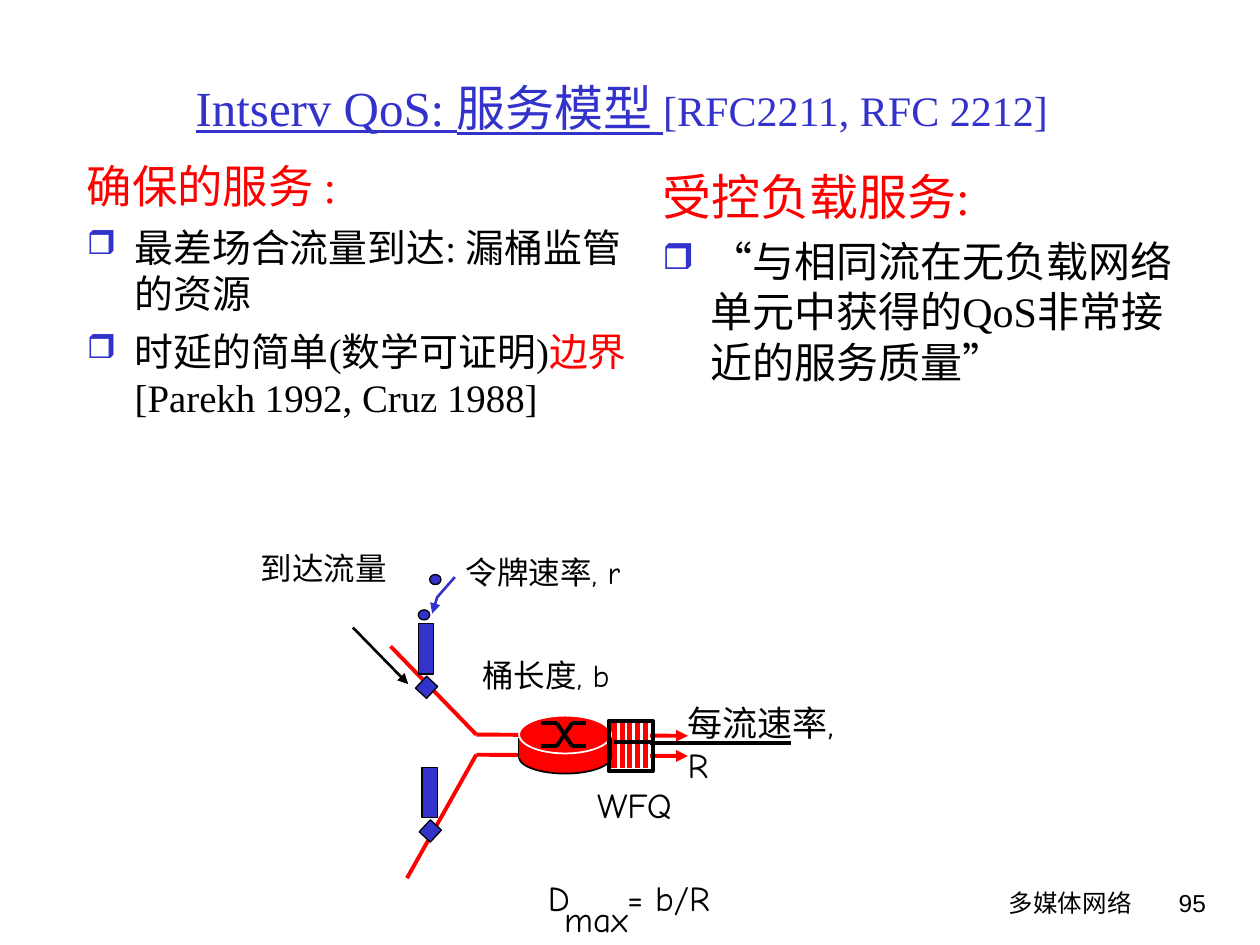
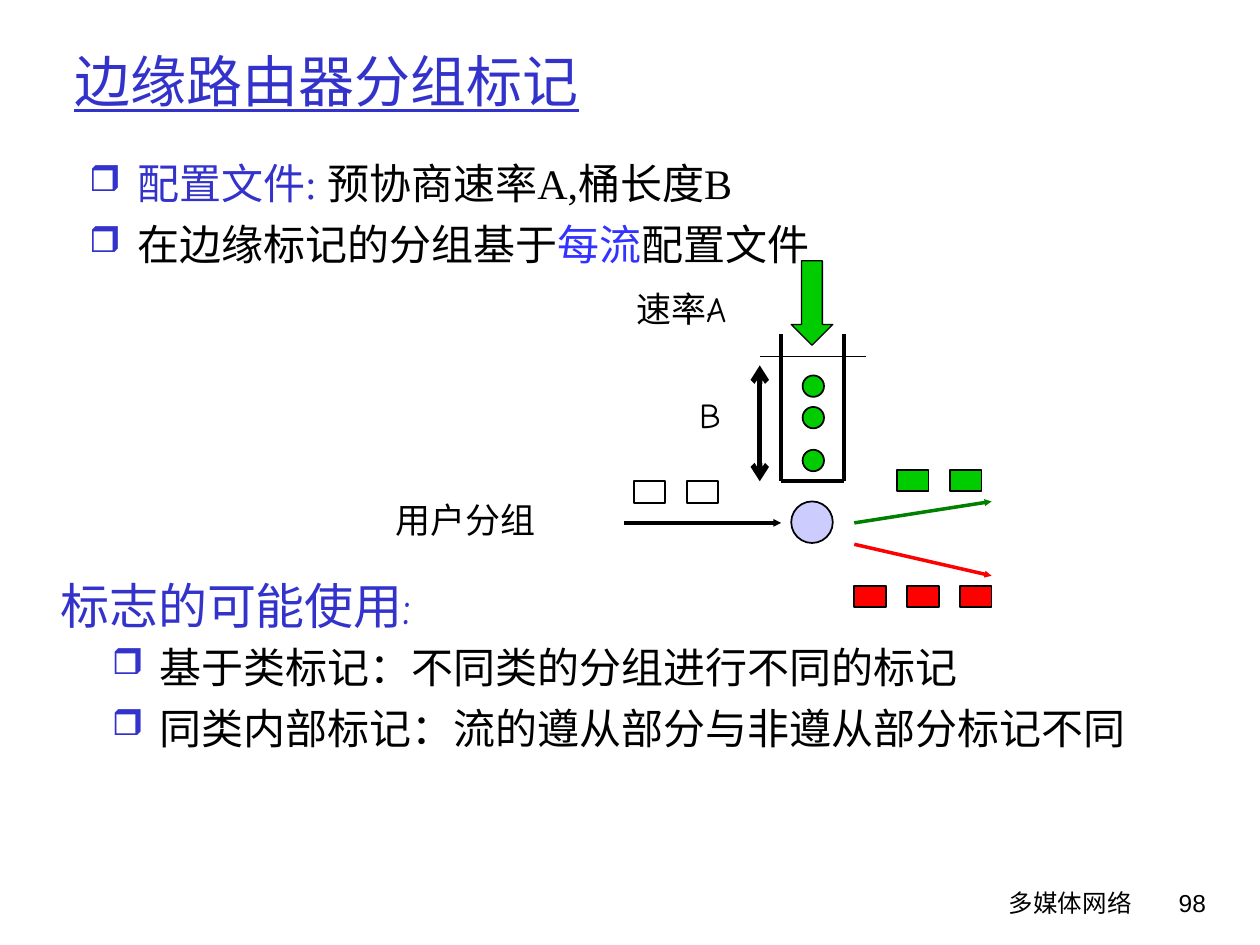
from lxml.etree import SubElement
from pptx import Presentation
from pptx.dml.color import RGBColor
from pptx.enum.shapes import MSO_CONNECTOR, MSO_SHAPE
from pptx.enum.text import MSO_ANCHOR, MSO_AUTO_SIZE, PP_ALIGN
from pptx.oxml.ns import qn
from pptx.util import Inches, Pt

WIDTH, HEIGHT = Inches(10), Inches(7.5)
COLUMNS, ROWS = 100, 75
BLACK, WHITE, RED, GREEN = "000000", "FFFFFF", "FF0000", "00CC00"
BLUE, BRIGHT_BLUE, DARK_GREEN, LILAC = "3333CC", "3333FF", "008000", "CCCCFF"
SERIF, HAND, SANS = "Times New Roman", "Comic Neue", "Arial"


def rgb(code):
    """Turn a hex string into a colour."""
    return RGBColor.from_string(code)


def column(number):
    """Return the horizontal length of a number of columns."""
    return round(WIDTH * number / COLUMNS)


def row(number):
    """Return the vertical length of a number of rows."""
    return round(HEIGHT * number / ROWS)


def area(left, top, width, height):
    """Return a grid rectangle as slide lengths."""
    return column(left), row(top), column(width), row(height)


class SlidePainter:
    """Holds the shared style and the slide being drawn."""

    def __init__(self, presentation, number):
        """Add a title-only slide with its footer and page number."""
        self.slide = presentation.slides.add_slide(presentation.slide_layouts[5])
        self.shapes = self.slide.shapes
        for box, words, font in (((48.6, 70, 42.2, 5), "多媒体网络", HAND),
                                 ((89.3, 70, 7.4, 5), str(number), SANS)):
            self.text(box, [[(words, {})]], size=14, font=font, align=PP_ALIGN.RIGHT)

    def add_runs(self, paragraph, runs, size, font):
        """Add formatted runs to a paragraph."""
        for words, changes in runs:
            run = paragraph.add_run()
            run.text = words
            values = {"size": size, "name": font, "color": BLACK, **changes}
            run.font.color.rgb = rgb(values.pop("color"))
            values["size"] = Pt(values["size"])
            for name, value in values.items():
                setattr(run.font, name, value)

    def title(self, box, runs, size, align):
        """Place and format the title."""
        shape = self.shapes.title
        shape.left, shape.top, shape.width, shape.height = area(*box)
        frame = shape.text_frame
        frame.auto_size = MSO_AUTO_SIZE.NONE
        frame.vertical_anchor = MSO_ANCHOR.MIDDLE
        frame.paragraphs[0].alignment = align
        self.add_runs(frame.paragraphs[0], runs, size, SERIF)

    def text(self, box, paragraphs, size, font=SERIF, align=PP_ALIGN.LEFT,
             wrap=True, bullets_from=None):
        """Add a text box, bulleted from the given paragraph on."""
        frame = self.shapes.add_textbox(*area(*box)).text_frame
        frame.word_wrap = wrap
        for index, runs in enumerate(paragraphs):
            paragraph = frame.add_paragraph() if index else frame.paragraphs[0]
            if bullets_from is not None and index >= bullets_from:
                self.bullet(paragraph)
            if index:
                paragraph.space_before = Pt(6)
            paragraph.alignment = align
            self.add_runs(paragraph, runs, size, font)

    def bullet(self, paragraph):
        """Give a paragraph a blue box bullet and a hanging indent."""
        properties = paragraph._p.get_or_add_pPr()
        properties.set("marL", str(column(3.8)))
        properties.set("indent", str(-column(3.8)))
        color = SubElement(properties, qn("a:buClr"))
        SubElement(color, qn("a:srgbClr"), val=BLUE)
        SubElement(properties, qn("a:buSzPct"), val="85000")
        SubElement(properties, qn("a:buChar"), char="❒")

    def label(self, left, top, words, size=20):
        """Add a one-line diagram label."""
        self.text((left, top, 15, 4.4), [[(words, {})]], size, HAND, wrap=False)

    def shape(self, kind, box, fill=None, line=BLACK, width=1, rotation=0):
        """Add a preset shape."""
        shape = self.shapes.add_shape(kind, *area(*box))
        shape.rotation = rotation
        self.dress(shape, fill, line, width)

    def dress(self, shape, fill, line, width):
        """Set fill and outline and drop the shadow."""
        shape.shadow.inherit = False
        for part, color in ((shape.fill, fill), (shape.line.fill, line)):
            if color:
                part.solid()
                part.fore_color.rgb = rgb(color)
            else:
                part.background()
        if line:
            shape.line.width = Pt(width)

    def arrowheads(self, shape, head, tail, size):
        """Add arrowheads to the ends of a line."""
        properties = shape.line._get_or_add_ln()
        for tag, kind in (("a:headEnd", head), ("a:tailEnd", tail)):
            if kind:
                SubElement(properties, qn(tag), type=kind, w=size, len=size)

    def line(self, *points, color=BLACK, width=2.25, head=None, tail=None, size="med"):
        """Join points with straight connectors, the last one carrying the tail."""
        for start, end in zip(points, points[1:]):
            connector = self.shapes.add_connector(
                MSO_CONNECTOR.STRAIGHT, column(start[0]), row(start[1]),
                column(end[0]), row(end[1]))
            connector.line.color.rgb = rgb(color)
            connector.line.width = Pt(width)
            last = end == points[-1]
            self.arrowheads(connector, head, tail if last else None, size)
            SubElement(connector._element.spPr, qn("a:effectLst"))

    def bent_arrow(self, points, color, width):
        """Add an open outline that ends in an arrowhead."""
        corners = [(column(x), row(y)) for x, y in points]
        builder = self.shapes.build_freeform(*corners[0])
        builder.add_line_segments(corners[1:], close=False)
        shape = builder.convert_to_shape()
        self.dress(shape, None, color, width)
        self.arrowheads(shape, None, "triangle", "med")


def draw_router(painter):
    """Draw the router with its output queue."""
    painter.line((50.6, 59), (62.8, 59))
    painter.shape(MSO_SHAPE.RECTANGLE, (48.3, 57.3, 3.2, 3.8), RED, WHITE, 1.5)
    for stripe in range(4):
        left = 49.1 + 0.6 * stripe
        painter.line((left, 61), (left, 57.2), color=WHITE, width=1.5)
    painter.shape(MSO_SHAPE.OVAL, (41.2, 58.8, 7.3, 2.6), RED)
    for side in (41.2, 48.5):
        painter.line((side, 58.6), (side, 60.2), width=1)
    painter.shape(MSO_SHAPE.RECTANGLE, (41.2, 58.6, 7.2, 1.6), RED, None)
    painter.shape(MSO_SHAPE.OVAL, (41.2, 56.8, 7.3, 3), RED, WHITE)
    for start, end in ((57.4, 59.2), (59.2, 57.4)):
        painter.line((42.9, start), (44.2, start), (45.4, end), (46.5, end))
    painter.shape(MSO_SHAPE.RECTANGLE, (48.3, 57.2, 3.5, 4), width=2.25)
    painter.line((48.7, 58.9), (52, 58.9))


def draw_service_model(presentation):
    """Build the service model slide."""
    painter = SlidePainter(presentation, 95)
    painter.title((5.5, 2.2, 87.7, 12.5),
                  [("Intserv QoS: 服务模型 ", {"color": BLUE, "underline": True}),
                   ("[RFC2211, RFC 2212]", {"color": BLUE, "size": 24})],
                  28, PP_ALIGN.CENTER)
    painter.text((5.9, 12.1, 45.8, 24), [
        [("确保的服务 :", {"color": RED, "size": 25.9})],
        [("最差场合流量到达: 漏桶监管的资源", {})],
        [("时延的简单(数学可证明)", {}), ("边界 ", {"color": RED}),
         ("[Parekh 1992, Cruz 1988]", {})]], 22.2, bullets_from=1)
    painter.text((51.6, 12.7, 43.7, 24), [
        [("受控负载服务:", {"color": RED, "size": 28})],
        [("“", {"name": HAND}),
         ("与相同流在无负载网络单元中获得的QoS非常接近的服务质量", {}),
         ("”", {"name": HAND})]], 24, bullets_from=1)

    painter.line((31, 51.3), (37.8, 58.3), (54.6, 58.4), color=RED, tail="triangle")
    painter.line((32.3, 69.7), (37.8, 59.9), (54.6, 60), color=RED, tail="triangle")
    draw_router(painter)
    for left, top in ((33.2, 48.4), (34.1, 45.6)):
        painter.shape(MSO_SHAPE.OVAL, (left, top, 0.9, 0.8), BLUE, width=0.75)
    painter.bent_arrow(((36.1, 45.8), (34.7, 47.4), (34.3, 48.7)), BLUE, 1.5)
    for left, top in ((33.2, 49.5), (33.5, 60.9)):
        painter.shape(MSO_SHAPE.RECTANGLE, (left + 0.05, top + 4.4, 1.2, 1.3),
                      BLUE, width=0.75, rotation=42.9)
        painter.shape(MSO_SHAPE.RECTANGLE, (left, top, 1.2, 4), BLUE, width=0.75)
    painter.line((28, 49.8), (32.4, 54.3), width=1.5, tail="triangle")
    for left, top, words in ((19.7, 43.1, "到达流量"), (36, 43.4, "令牌速率, r"),
                             (37.3, 51.6, "桶长度, b")):
        painter.label(left, top, words, 18)
    for left, top, words in ((53.6, 55.2, "每流速率, R"), (46.4, 61.7, "WFQ"),
                             (42.5, 69.1, "D"), (43.8, 70.7, "max"),
                             (48.8, 69.1, "= b/R")):
        painter.label(left, top, words)


def draw_packet_marking(presentation):
    """Build the edge router marking slide."""
    painter = SlidePainter(presentation, 98)
    painter.title((4.9, 2.6, 85, 7.5),
                  [("边缘路由器分组标记", {"color": BLUE, "underline": True})],
                  32, PP_ALIGN.LEFT)
    painter.text((7.9, 50.4, 90, 20), [
        [("基于类标记：不同类的分组进行不同的标记", {})],
        [("同类内部标记：流的遵从部分与非遵从部分标记不同", {})]], 24, bullets_from=0)
    painter.text((6.1, 12, 87.5, 10), [
        [("配置文件: ", {"color": BLUE}), ("预协商速率A,桶长度B", {})],
        [("在边缘标记的分组基于", {}), ("每流", {"color": BRIGHT_BLUE}),
         ("配置文件", {})]], 24, bullets_from=0)
    painter.text((3.8, 45.2, 52, 5.7), [[("标志的可能使用:", {"color": BLUE})]], 28, HAND)

    for first, top, count, color in ((71.2, 37.3, 2, GREEN), (67.8, 46.5, 3, RED),
                                     (50.3, 38.2, 2, WHITE)):
        for index in range(count):
            painter.shape(MSO_SHAPE.RECTANGLE, (first + 4.2 * index, top, 2.5, 1.7), color)
    painter.line((62, 30.7), (62, 38.2), (67, 38.2), (67, 30.7))
    for side in (62, 67):
        painter.line((side, 30.7), (side, 26.5), width=2)
    painter.shape(MSO_SHAPE.OVAL, (62.8, 39.8, 3.3, 3.3), LILAC)
    for top in (29.8, 32.3, 35.7):
        painter.shape(MSO_SHAPE.OVAL, (63.7, top, 1.7, 1.7), GREEN)
    for start, end, color, width in (((49.5, 41.5), (62, 41.5), BLACK, 2.25),
                                     ((67.8, 43.2), (78.7, 45.7), RED, 2),
                                     ((67.8, 41.5), (78.7, 39.8), DARK_GREEN, 2)):
        painter.line(start, end, color=color, width=width, tail="triangle", size="sm")
    painter.shape(MSO_SHAPE.DOWN_ARROW, (62.8, 20.7, 3.3, 6.7), GREEN, width=0.75)
    painter.line((60.3, 28.3), (68.7, 28.3), width=0.75)
    painter.line((60.3, 29), (60.3, 38.2), width=3, head="arrow", tail="arrow")
    for left, top, words in ((30.4, 39.1, "用户分组"), (49.5, 22.3, "速率A"),
                             (54.5, 30.7, "B")):
        painter.label(left, top, words)


def main():
    """Build and save the presentation."""
    presentation = Presentation()
    presentation.slide_width, presentation.slide_height = WIDTH, HEIGHT
    draw_service_model(presentation)
    draw_packet_marking(presentation)
    presentation.save("out.pptx")


if __name__ == "__main__":
    main()
